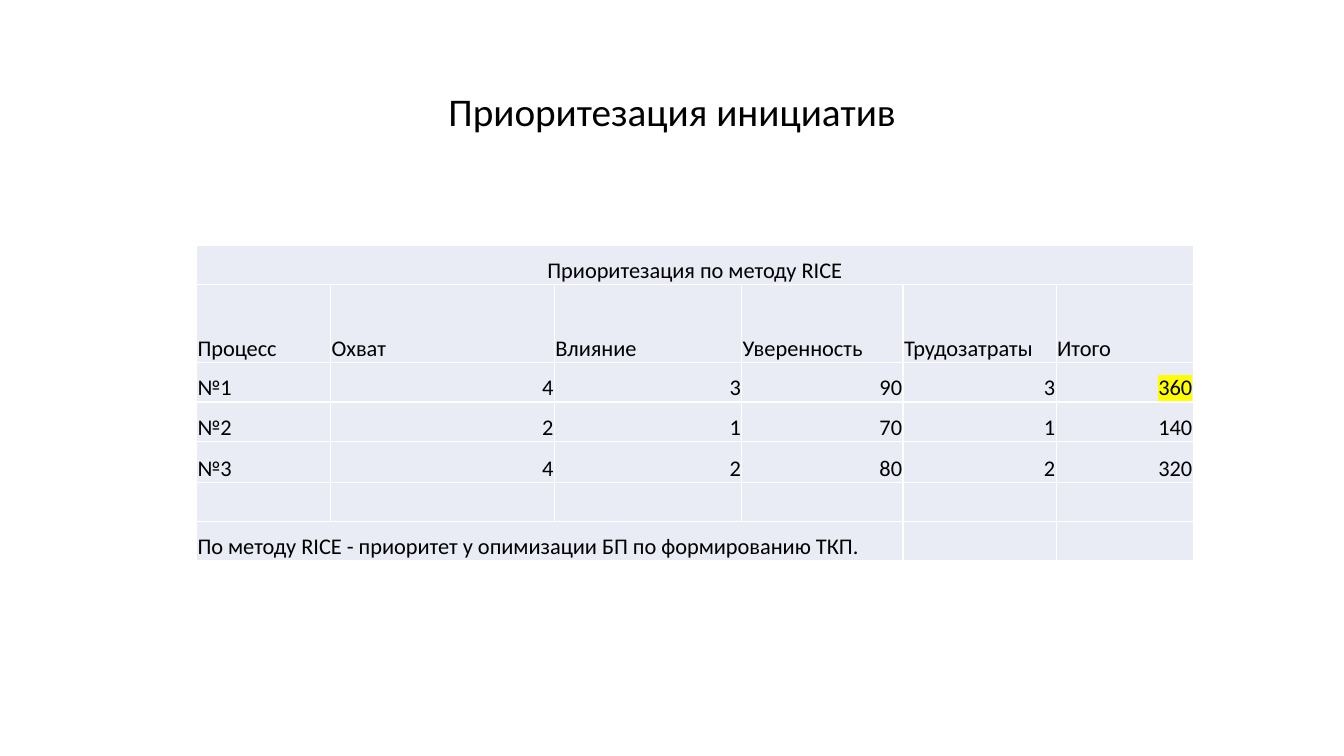
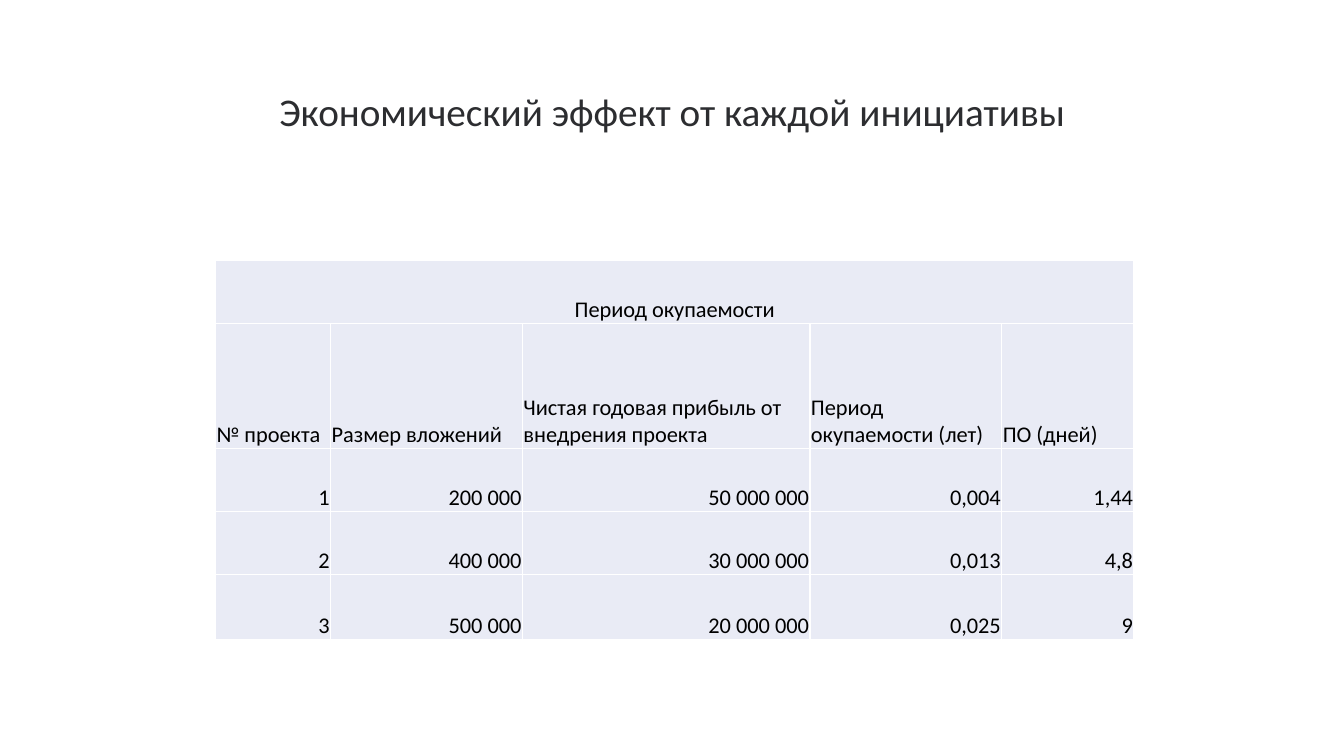
from pptx import Presentation
from pptx.dml.color import RGBColor
from pptx.enum import text as t
from pptx.oxml.ns import qn
from pptx.util import Pt
from lxml import etree

HUES = {"ink": "000000", "slate": "2C2D30", "cell": "E9EBF5", "mark": "FFFF00"}
FONT = "Calibri"

# spans maps a row to the number of cells merged from its left edge
SLIDES = [
    {
        "title": "Приоритезация инициатив", "hue": "ink",
        "at": (140.4, 175),
        "cols": (95.8, 159.8, 133.9, 115.2, 109.4, 97.9),
        "highs": (28, 56.2, 28, 28, 29.3, 28, 28),
        "spans": {0: 6, 6: 4}, "mark": (2, 5),
        "rows": [
            ("Приоритезация по методу RICE",),
            ("Процесс", "Охват", "Влияние", "Уверенность", "Трудозатраты", "Итого"),
            ("№1", "4", "3", "90", "3", "360"),
            ("№2", "2", "1", "70", "1", "140"),
            ("№3", "4", "2", "80", "2", "320"),
            (),
            ("По методу RICE - приоритет у опимизации БП по формированию ТКП.",),
        ],
    },
    {
        "title": "Экономический эффект от каждой инициативы", "hue": "slate",
        "at": (154, 186),
        "cols": (82.2, 137, 205.4, 137, 94.4),
        "highs": (44.8, 89.8, 44.8, 44.8, 46.6),
        "spans": {0: 5}, "mark": None,
        "rows": [
            ("Период окупаемости",),
            ("№ проекта", "Размер вложений",
             "Чистая годовая прибыль от внедрения проекта",
             "Период окупаемости (лет)", "ПО (дней)"),
            ("1", "200 000", "50 000 000", "0,004", "1,44"),
            ("2", "400 000", "30 000 000", "0,013", "4,8"),
            ("3", "500 000", "20 000 000", "0,025", "9"),
        ],
    },
]


def style(para, size, hue, align):
    """Set the font and alignment of a paragraph."""
    para.alignment = align
    font = para.font
    font.name, font.size, font.bold = FONT, Pt(size), False
    font.color.rgb = RGBColor.from_string(HUES[hue])


def head(slide, words, hue):
    """Place and format the slide title."""
    box = slide.shapes.title
    box.left, box.top, box.width, box.height = Pt(66), Pt(28.75), Pt(828), Pt(104.4)
    box.text_frame.text = words
    box.text_frame.vertical_anchor = t.MSO_ANCHOR.MIDDLE
    para = box.text_frame.paragraphs[0]
    para.line_spacing = 0.9
    style(para, 28, hue, t.PP_ALIGN.CENTER)


def mark(run):
    """Put a highlight behind a run."""
    glow = etree.SubElement(run._r.get_or_add_rPr(), qn("a:highlight"))
    etree.SubElement(glow, qn("a:srgbClr")).set("val", HUES["mark"])


def side(row, words):
    """Centre the heading, push numbers right, keep the rest left."""
    if row == 0:
        return t.PP_ALIGN.CENTER
    return t.PP_ALIGN.RIGHT if words[:1].isdigit() else t.PP_ALIGN.LEFT


def fill(cell, row, words):
    """Format one cell and write its words."""
    cell.fill.solid()
    cell.fill.fore_color.rgb = RGBColor.from_string(HUES["cell"])
    cell.margin_left = cell.margin_right = cell.margin_top = Pt(0.7)
    cell.margin_bottom = Pt(0)
    cell.vertical_anchor = t.MSO_ANCHOR.BOTTOM
    cell.text = words
    style(cell.text_frame.paragraphs[0], 16, "ink", side(row, words))


def grid(slide, data):
    """Build the table of a slide."""
    cols, highs, rows = data["cols"], data["highs"], data["rows"]
    left, top = data["at"]
    table = slide.shapes.add_table(
        len(rows), len(cols), Pt(left), Pt(top), Pt(sum(cols)), Pt(sum(highs))).table
    table.first_row = table.horz_banding = False
    for col, wide in zip(table.columns, cols):
        col.width = Pt(wide)
    for row, high in zip(table.rows, highs):
        row.height = Pt(high)
    for r, line in enumerate(rows):
        for c in range(len(cols)):
            fill(table.cell(r, c), r, line[c] if c < len(line) else "")
    for r, count in data["spans"].items():
        table.cell(r, 0).merge(table.cell(r, count - 1))
    if data["mark"]:
        mark(table.cell(*data["mark"]).text_frame.paragraphs[0].runs[0])


deck = Presentation()
deck.slide_width, deck.slide_height = Pt(960), Pt(540)
for data in SLIDES:
    slide = deck.slides.add_slide(deck.slide_layouts[5])
    head(slide, data["title"], data["hue"])
    grid(slide, data)
deck.save("out.pptx")
